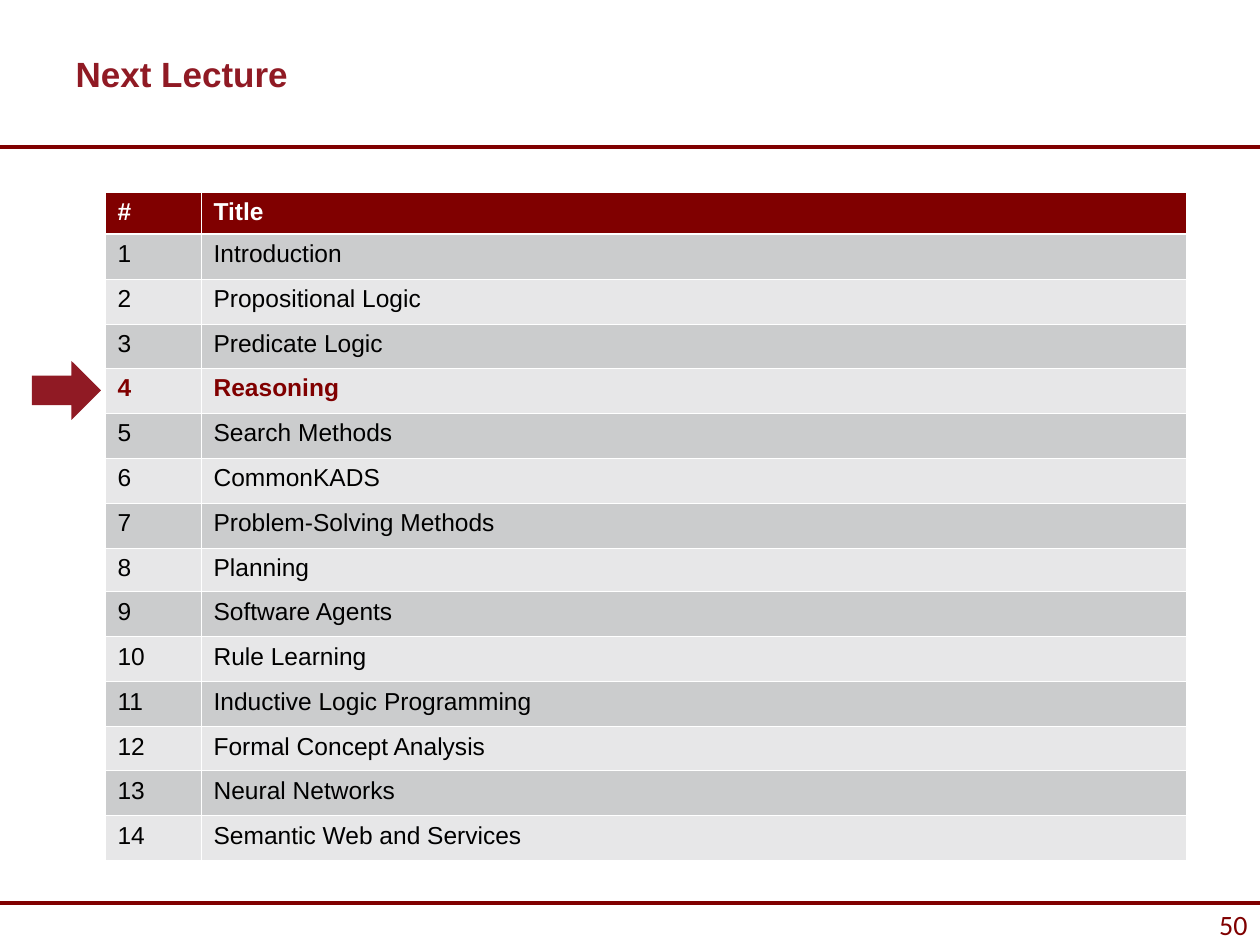
from lxml import etree
from pptx import Presentation
from pptx import util as u
from pptx.dml.color import RGBColor
from pptx.enum import shapes, text
from pptx.oxml import ns

PX = 914400 // 126  # EMU per px, 126 px to the inch
WIDE, HIGH = 1260, 945

WHITE = RGBColor(0xFF, 0xFF, 0xFF)
BLACK = RGBColor(0x00, 0x00, 0x00)
MAROON = RGBColor(0x80, 0x00, 0x00)
CRIMSON = RGBColor(0x90, 0x1A, 0x24)
DARK = RGBColor(0xCB, 0xCC, 0xCD)
LIGHT = RGBColor(0xE7, 0xE7, 0xE8)

TOPICS = [
    "Introduction", "Propositional Logic", "Predicate Logic", "Reasoning",
    "Search Methods", "CommonKADS", "Problem-Solving Methods", "Planning",
    "Software Agents", "Rule Learning", "Inductive Logic Programming",
    "Formal Concept Analysis", "Neural Networks", "Semantic Web and Services",
]
NEXT = 4  # number of the coming lecture


def px(*nums):
    return [u.Emu(n * PX) for n in nums]


def write(frame, words, size=14, color=BLACK, bold=False, font="Arial",
          align=text.PP_ALIGN.LEFT):
    para = frame.paragraphs[0]
    para.alignment = align
    run = para.add_run()
    run.text = words
    run.font.size = u.Pt(size)
    run.font.name = font
    run.font.bold = bold
    run.font.color.rgb = color


def border(cell, side, width):
    props = cell._tc.get_or_add_tcPr()
    line = etree.SubElement(props, ns.qn("a:ln" + side), w=str(u.Pt(width)))
    fill = etree.SubElement(line, ns.qn("a:solidFill"))
    etree.SubElement(fill, ns.qn("a:srgbClr"), val=str(WHITE))


class Deck:
    def __init__(self):
        self.prs = Presentation()
        self.prs.slide_width, self.prs.slide_height = px(WIDE, HIGH)
        self.slide = self.prs.slides.add_slide(self.prs.slide_layouts[5])

    def title(self, words, box):
        name = self.slide.shapes.title
        name.left, name.top, name.width, name.height = px(*box)
        name.text_frame.vertical_anchor = text.MSO_ANCHOR.MIDDLE
        write(name.text_frame, words, size=20, color=CRIMSON, bold=True)

    def shape(self, kind, box, color):
        item = self.slide.shapes.add_shape(kind, *px(*box))
        item.shadow.inherit = False
        item.fill.solid()
        item.fill.fore_color.rgb = color
        item.line.fill.background()
        return item

    def rule(self, y):
        line = self.slide.shapes.add_connector(
            shapes.MSO_CONNECTOR.STRAIGHT, *px(0, y, WIDE, y))
        line.line.color.rgb = MAROON
        line.line.width = u.Pt(2)
        etree.SubElement(line._element.spPr, ns.qn("a:effectLst"))

    def table(self, rows, box, cols, head):
        grid = self.slide.shapes.add_table(
            len(rows), len(cols), *px(*box)).table
        grid.horz_banding = False
        for col, width in zip(grid.columns, cols):
            col.width = px(width)[0]
        # Body rows share the height below the header
        step = (box[3] - head) / (len(rows) - 1)
        for i, row in enumerate(rows):
            high = round(i * step) - round((i - 1) * step) if i else head
            grid.rows[i].height = px(high)[0]
            for j, words in enumerate(row):
                self.cell(grid.cell(i, j), words, i)

    def cell(self, cell, words, i):
        for side in "LRTB":
            thick = (i, side) in ((0, "B"), (1, "T"))
            border(cell, side, 1.47 if thick else 0.45)
        cell.fill.solid()
        cell.fill.fore_color.rgb = (
            MAROON if i == 0 else DARK if i % 2 else LIGHT)
        color = {0: WHITE, NEXT: MAROON}.get(i, BLACK)
        write(cell.text_frame, words, color=color, bold=i in (0, NEXT))


def main():
    deck = Deck()

    # Page number and rules
    page = deck.shape(shapes.MSO_SHAPE.RECTANGLE, (0, 909, WIDE, 31), WHITE)
    page.text_frame.vertical_anchor = text.MSO_ANCHOR.MIDDLE
    write(page.text_frame, "50", size=16, color=MAROON, font="Calibri",
          align=text.PP_ALIGN.RIGHT)
    for y in (147, 903):
        deck.rule(y)

    deck.title("Next Lecture", (63, 42, 798, 63))

    # Lecture list
    rows = [("#", "Title")]
    rows += [(str(n), topic) for n, topic in enumerate(TOPICS, 1)]
    deck.table(rows, (105, 192, 1081, 669), cols=(96, 985), head=42)

    # Marker of the next lecture
    deck.shape(shapes.MSO_SHAPE.RIGHT_ARROW, (32, 361, 69, 59), CRIMSON)

    deck.prs.save("out.pptx")


if __name__ == "__main__":
    main()
